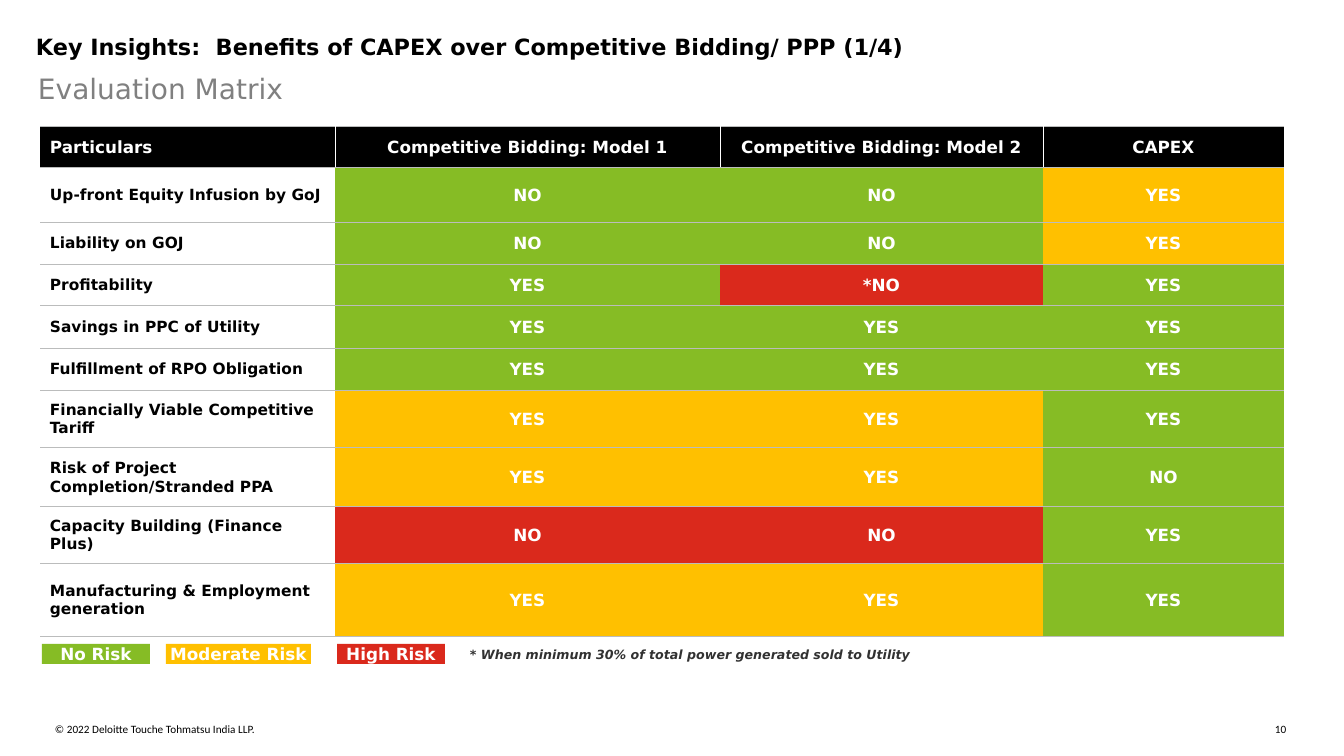
from pptx import Presentation, util as u
from pptx.dml.color import RGBColor
from pptx.enum import shapes, text
from pptx.oxml import parse_xml
from pptx.oxml.ns import nsdecls

SCALE = 914400 / 100.8
FONT = "DejaVu Sans"
HUES = {
    "black": "000000", "white": "FFFFFF", "gray": "808080", "dark": "313131",
    "rule": "BBBCBC", "green": "86BC25", "amber": "FFC000", "red": "DA291C",
}
MID = text.PP_ALIGN.CENTER

HEADS = ["Particulars", "Competitive Bidding: Model 1",
         "Competitive Bidding: Model 2", "CAPEX"]
COLS = [295, 385, 323, 241]
HEAD_H = 41
G, A, R = "green", "amber", "red"
# Row height, topic, answers, risk colours
ROWS = [
    (55, "Up-front Equity Infusion by GoJ", ("NO", "NO", "YES"), (G, G, A)),
    (42, "Liability on GOJ", ("NO", "NO", "YES"), (G, G, A)),
    (41, "Profitability", ("YES", "*NO", "YES"), (G, R, G)),
    (43, "Savings in PPC of Utility", ("YES", "YES", "YES"), (G, G, G)),
    (42, "Fulfillment of RPO Obligation", ("YES", "YES", "YES"), (G, G, G)),
    (57, "Financially Viable Competitive Tariff", ("YES", "YES", "YES"), (A, A, G)),
    (59, "Risk of Project Completion/Stranded PPA", ("YES", "YES", "NO"), (A, A, G)),
    (57, "Capacity Building (Finance Plus)", ("NO", "NO", "YES"), (R, R, G)),
    (73, "Manufacturing & Employment generation", ("YES", "YES", "YES"), (A, A, G)),
]
# Left offset, width, label, colour
KEYS = [(0, 108, "No Risk", G), (124, 145, "Moderate Risk", A),
        (295, 108, "High Risk", R)]


def px(n):
    return u.Emu(round(n * SCALE))


def hue(name):
    return RGBColor.from_string(HUES[name])


def write(frame, words, size=12, color="white", bold=False, italic=False,
          face=FONT, align=text.PP_ALIGN.LEFT, line=None):
    par = frame.paragraphs[0]
    par.alignment = align
    if line:
        par.line_spacing = line
    run = par.add_run()
    run.text = words
    font = run.font
    font.name, font.size = face, u.Pt(size)
    font.bold, font.italic = bold, italic
    font.color.rgb = hue(color)


def pad(frame, side=0, top=0):
    frame.margin_left = frame.margin_right = px(side)
    frame.margin_top = frame.margin_bottom = px(top)


def label(slide, box, words, side=0, top=0, wrap=True, **form):
    frame = slide.shapes.add_textbox(*map(px, box)).text_frame
    frame.word_wrap = wrap
    pad(frame, side, top)
    write(frame, words, **form)


def edge(cell, side, color=None):
    paint = (f'<a:solidFill><a:srgbClr val="{HUES[color]}"/></a:solidFill>'
             if color else "<a:noFill/>")
    cell._tc.get_or_add_tcPr().append(parse_xml(
        f'<a:ln{side} {nsdecls("a")} w="6350">{paint}</a:ln{side}>'))


def fill_cell(cell, words, fill=None, sides=(None, None), **form):
    for side, color in zip("LRTB", (*sides, "rule", "rule")):
        edge(cell, side, color)
    if fill:
        cell.fill.solid()
        cell.fill.fore_color.rgb = hue(fill)
    else:
        cell.fill.background()
    pad(cell, 10, 10)
    cell.vertical_anchor = text.MSO_ANCHOR.MIDDLE
    write(cell.text_frame, words, bold=True, **form)


def header(slide, x, y, w):
    label(slide, (x, y, w, 38),
          "Key Insights:  Benefits of CAPEX over Competitive Bidding/ PPP (1/4)",
          side=10, top=5, size=16, color="black", bold=True)
    label(slide, (x + 12, y + 44, w, 40), "Evaluation Matrix",
          size=20, color="gray")


def matrix(slide, x, y):
    tall = [HEAD_H] + [row[0] for row in ROWS]
    grid = slide.shapes.add_table(
        len(tall), len(COLS), px(x), px(y), px(sum(COLS)), px(sum(tall))).table
    grid.first_row = grid.horz_banding = False
    for col, w in zip(grid.columns, COLS):
        col.width = px(w)
    for row, h in zip(grid.rows, tall):
        row.height = px(h)

    # Heading row
    for c, head in enumerate(HEADS):
        fill_cell(grid.cell(0, c), head, "black",
                  ("white" if c else None, "white"), line=1.06,
                  align=MID if c else text.PP_ALIGN.LEFT)

    # Topics and answers
    for r, (_, topic, words, risks) in enumerate(ROWS, 1):
        fill_cell(grid.cell(r, 0), topic, size=11, color="black",
                  line=1.06 if topic.startswith("Risk") else None)
        for c, (word, risk) in enumerate(zip(words, risks), 1):
            fill_cell(grid.cell(r, c), word, risk, align=MID, line=1.06)


def legend(slide, x, y):
    for left, w, words, risk in KEYS:
        key = slide.shapes.add_shape(
            shapes.MSO_SHAPE.RECTANGLE, *map(px, (x + left, y, w, 20)))
        key.shadow.inherit = False
        key.fill.solid()
        key.fill.fore_color.rgb = hue(risk)
        key.line.fill.background()
        pad(key.text_frame)
        key.text_frame.word_wrap = True
        key.text_frame.vertical_anchor = text.MSO_ANCHOR.MIDDLE
        write(key.text_frame, words, bold=True, align=MID)
    label(slide, (x + 428, y + 3, 518, 15),
          "* When minimum 30% of total power generated sold to Utility",
          size=9, color="dark", bold=True, italic=True)


def footer(slide, x, y):
    form = {"size": 8, "color": "black", "face": "Calibri"}
    label(slide, (x, y, 591, 13),
          "© 2022 Deloitte Touche Tohmatsu India LLP.", **form)
    label(slide, (x + 1220, y, 13, 13), "10", wrap=False, **form)


def main():
    deck = Presentation()
    deck.slide_width, deck.slide_height = px(1344), px(756)
    slide = deck.slides.add_slide(deck.slide_layouts[6])
    footer(slide, 55, 722)
    matrix(slide, 40, 126)
    header(slide, 26, 28, 1227)
    legend(slide, 42, 644)
    deck.save("out.pptx")


if __name__ == "__main__":
    main()
